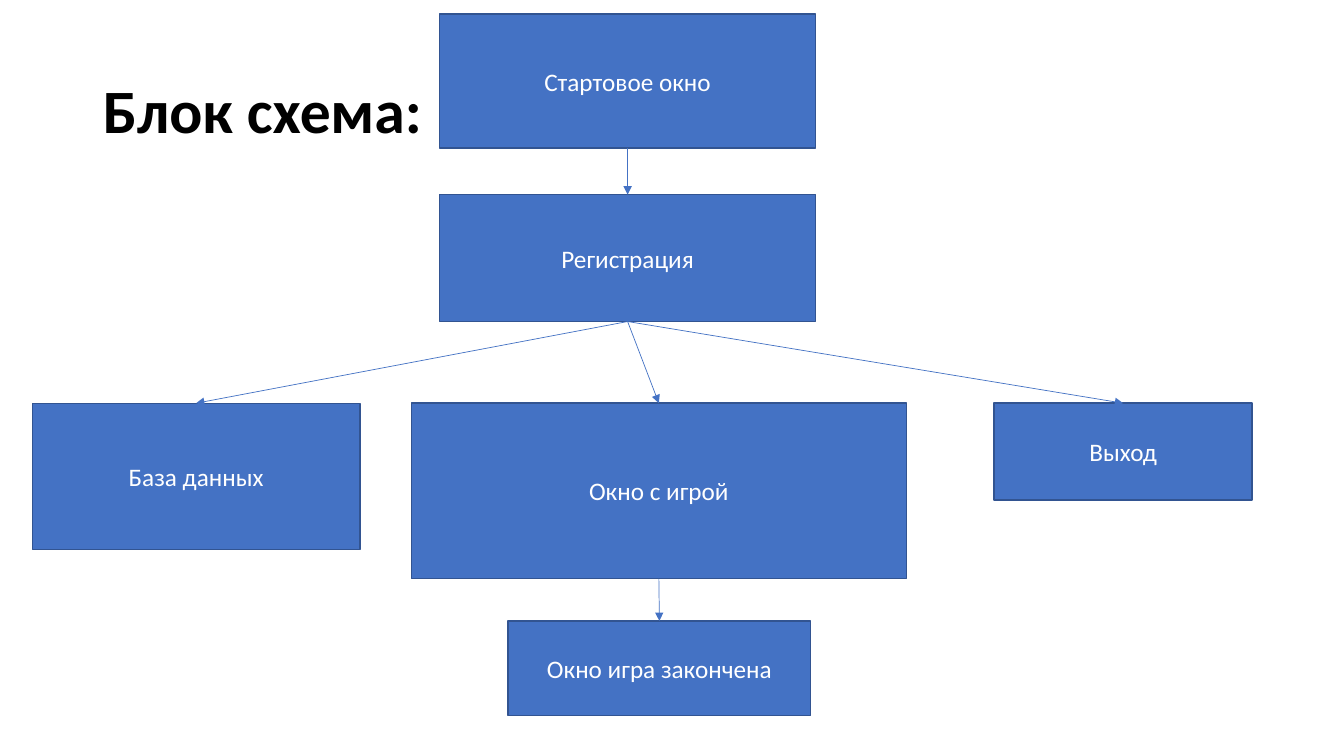
from lxml.etree import SubElement
from pptx import Presentation
from pptx.dml.color import RGBColor
from pptx.enum.shapes import MSO_CONNECTOR, MSO_SHAPE
from pptx.enum.text import MSO_ANCHOR, PP_ALIGN
from pptx.oxml.ns import qn
from pptx.util import Pt

PX = 9144  # EMU per px, 100 px to the inch
FONT = "Calibri"
COLORS = {"box": "4472C4", "border": "325491", "box_text": "FFFFFF", "title": "000000"}

TITLE = ("Блок схема:", (92, 40, 1150, 145))
# name: (text, (left, top, width, height))
BOXES = {
    "start": ("Стартовое окно", (436, 14, 373, 133)),
    "signup": ("Регистрация", (436, 193, 373, 126)),
    "game": ("Окно с игрой", (408, 400, 491, 174)),
    "database": ("База данных", (32, 400, 325, 145)),
    "exit": ("Выход", (986, 400, 256, 96)),
    "game_over": ("Окно игра закончена", (504, 616, 300, 94)),
}
ARROWS = [
    ("start", "signup"),
    ("signup", "game"),
    ("signup", "database"),
    ("signup", "exit"),
    ("game", "game_over"),
]
BOTTOM, TOP = 2, 0


def rgb(name):
    return RGBColor.from_string(COLORS[name])


def emu(lengths):
    return [n * PX for n in lengths]


def set_text(sp, text, size, color, align, bold=False):
    tf = sp.text_frame
    tf.text = text
    tf.word_wrap = True
    tf.vertical_anchor = MSO_ANCHOR.MIDDLE
    p = tf.paragraphs[0]
    p.alignment = align
    font = p.runs[0].font
    font.name, font.size, font.bold = FONT, Pt(size), bold
    font.color.rgb = rgb(color)
    return p


def add_title(s):
    text, place = TITLE
    sp = s.shapes.title
    sp.left, sp.top, sp.width, sp.height = emu(place)
    p = set_text(sp, text, 44, "title", PP_ALIGN.LEFT, bold=True)
    p.line_spacing = 0.9


def add_box(s, text, place):
    sp = s.shapes.add_shape(MSO_SHAPE.RECTANGLE, *emu(place))
    sp.shadow.inherit = False
    sp.fill.solid()
    sp.fill.fore_color.rgb = rgb("box")
    sp.line.color.rgb = rgb("border")
    sp.line.width = Pt(1)
    set_text(sp, text, 18, "box_text", PP_ALIGN.CENTER)
    return sp


def add_arrow(s, source, target):
    line = s.shapes.add_connector(MSO_CONNECTOR.STRAIGHT, 0, 0, 0, 0)
    line.begin_connect(source, BOTTOM)
    line.end_connect(target, TOP)
    line.line.color.rgb = rgb("box")
    line.line.width = Pt(0.5)
    SubElement(line.line._get_or_add_ln(), qn("a:tailEnd"), type="triangle")
    SubElement(line._element.spPr, qn("a:effectLst"))


def main():
    prs = Presentation()
    prs.slide_width, prs.slide_height = emu((1333, 750))
    s = prs.slides.add_slide(prs.slide_layouts[5])
    add_title(s)
    boxes = {name: add_box(s, *box) for name, box in BOXES.items()}
    for source, target in ARROWS:
        add_arrow(s, boxes[source], boxes[target])
    prs.save("out.pptx")


if __name__ == "__main__":
    main()
